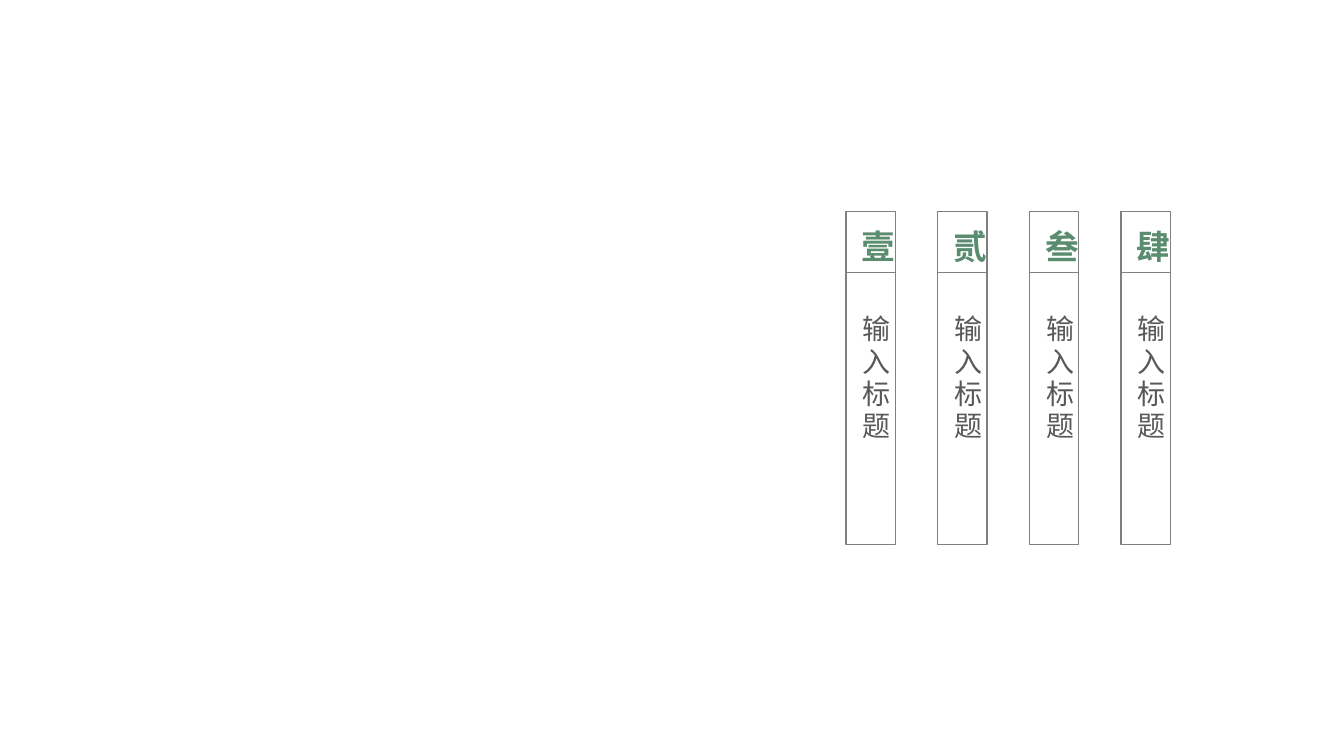
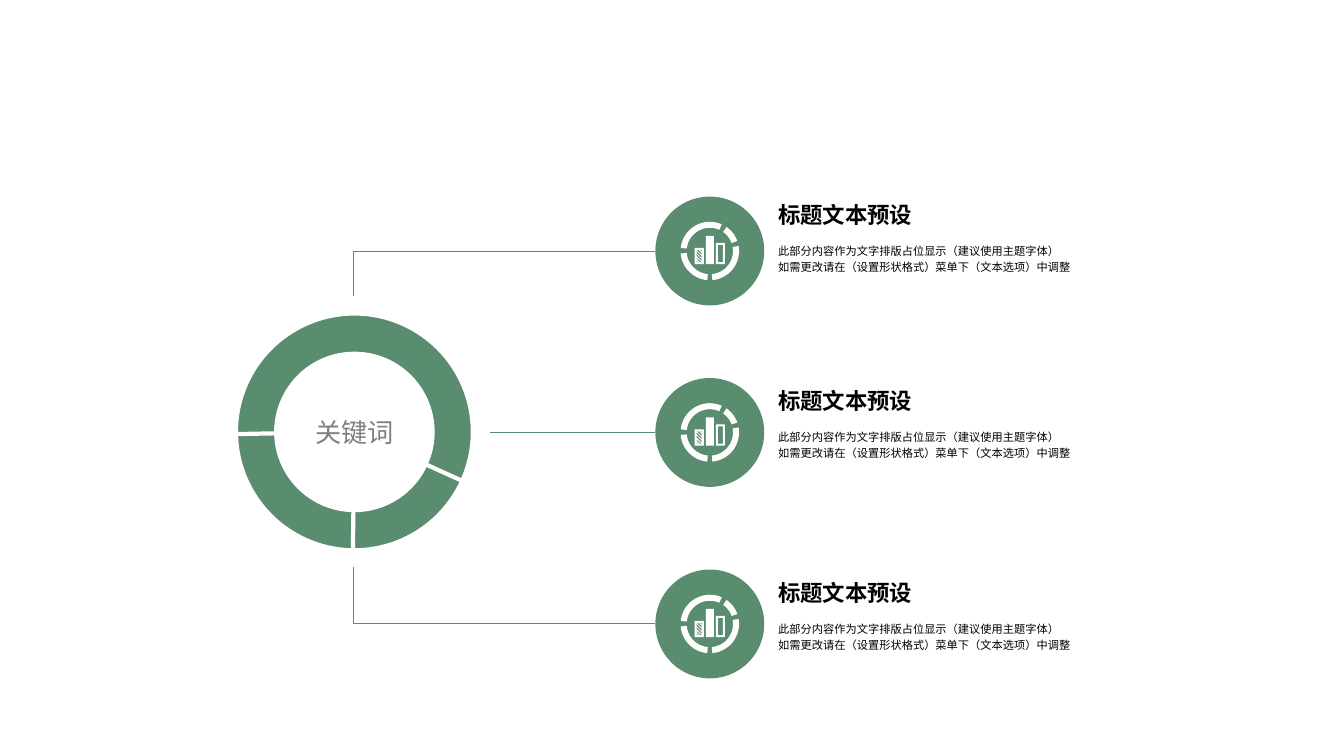
from math import cos, sin, radians
from lxml.etree import SubElement
from pptx import Presentation
from pptx.dml.color import RGBColor
from pptx.enum.shapes import MSO_CONNECTOR, MSO_SHAPE
from pptx.enum.text import MSO_ANCHOR, MSO_AUTO_SIZE, PP_ALIGN
from pptx.oxml.ns import qn
from pptx.util import Pt

SCALE = 9144
FONT = "Noto Sans CJK SC"
GREEN, GRAY, DARK = "5A8C6F", "808080", "595959"
WHITE, BLACK = "FFFFFF", "000000"


def px(num):
    return round(num * SCALE)


def tint(code):
    return RGBColor.from_string(code)


def box(left, top, right, low):
    return [(left, top), (right, top), (right, low), (left, low)]


def arc(start, end, outer=29, inner=23):
    turns = [radians(start + (end - start) * step / 16) for step in range(17)]
    rim = [(outer * cos(turn), outer * sin(turn)) for turn in turns]
    core = [(inner * cos(turn), inner * sin(turn)) for turn in reversed(turns)]
    return rim + core


BARS = [box(-15, -3, -6, 13), box(-4, -15, 4, 13), box(6, -8, 15, 13), box(8, -6, 13, 11)]
HATCH = [
    [(-13, 10), (-13, 11), (-11, 11)],
    [(-13, 7), (-13, 8), (-10, 11), (-8, 11)],
    [(-13, 3), (-13, 5), (-8, 10), (-8, 8)],
    [(-13, 0), (-13, 2), (-8, 7), (-8, 5)],
    [(-13, -1), (-8, 4), (-8, 2), (-11, -1)],
    [(-10, -1), (-8, 1), (-8, -1)],
]
ARCS = [arc(95, 175), arc(-10, 85), arc(-55, -20), arc(186, 294)]
ICON = BARS + HATCH + ARCS


class Deck:
    def __init__(self):
        self.file = Presentation()
        self.file.slide_width, self.file.slide_height = px(1333), px(750)
        self.slide = None

    def page(self):
        self.slide = self.file.slides.add_slide(self.file.slide_layouts[6])
        self.slide.background.fill.solid()
        self.slide.background.fill.fore_color.rgb = tint(WHITE)

    def paint(self, shape, fill=None, line=None, width=1):
        shape.shadow.inherit = False
        if fill:
            shape.fill.solid()
            shape.fill.fore_color.rgb = tint(fill)
        else:
            shape.fill.background()
        if line:
            shape.line.color.rgb = tint(line)
            shape.line.width = Pt(width)
        else:
            shape.line.fill.background()

    def shape(self, kind, x, y, w, h, fill=None, line=None, width=1, adj=()):
        item = self.slide.shapes.add_shape(kind, px(x), px(y), px(w), px(h))
        for spot, value in enumerate(adj):
            item.adjustments[spot] = value
        self.paint(item, fill, line, width)
        return item

    def words(self, frame, lines, size, color, bold=False, gap=0, align=None, lead=None):
        para = frame.paragraphs[0]
        if align is not None:
            para.alignment = align
        if lead:
            para.line_spacing = lead
        for spot, line in enumerate(lines):
            if spot:
                para.add_line_break()
            run = para.add_run()
            run.text = line
            font = run.font
            font.size, font.bold, font.name = Pt(size), bold, FONT
            font.color.rgb = tint(color)
            props = run._r.get_or_add_rPr()
            SubElement(props, qn("a:ea")).set("typeface", FONT)
            if gap:
                props.set("spc", str(gap * 100))

    def text(self, x, y, w, h, lines, size, color, wrap=True, tall=False, **style):
        frame = self.slide.shapes.add_textbox(px(x), px(y), px(w), px(h)).text_frame
        frame.word_wrap = wrap
        if tall:
            frame.auto_size = MSO_AUTO_SIZE.SHAPE_TO_FIT_TEXT
            frame._txBody.bodyPr.set("vert", "eaVert")
        self.words(frame, lines, size, color, **style)

    def line(self, x, y, end, low, color, bent=False):
        kind = MSO_CONNECTOR.ELBOW if bent else MSO_CONNECTOR.STRAIGHT
        item = self.slide.shapes.add_connector(kind, px(x), px(y), px(end), px(low))
        item.line.color.rgb = tint(color)
        item.line.width = Pt(0.5)
        props = item._element.spPr
        if bent:
            props.find(qn("a:prstGeom")).set("prst", "bentConnector2")
        SubElement(props, qn("a:effectLst"))

    def icon(self, x, y):
        rings = [[(a * 10, b * 10) for a, b in ring] for ring in ICON]
        pen = self.slide.shapes.build_freeform(*rings[0][0], scale=SCALE / 10)
        for spot, ring in enumerate(rings):
            if spot:
                pen.move_to(*ring[0])
            pen.add_line_segments(ring[1:], close=True)
        self.paint(pen.convert_to_shape(px(x), px(y)), WHITE)


def contents(deck):
    deck.page()
    for spot, num in enumerate("壹贰叁肆"):
        x = 839 + 91 * spot
        deck.shape(MSO_SHAPE.RECTANGLE, x, 210, 49, 330, line=GRAY)
        deck.text(x - 5, 218, 61, 52, [num], 24, GREEN, wrap=False, tall=True, bold=True, gap=6)
        deck.text(x - 3, 303, 54, 185, ["输入标题"], 20, DARK, tall=True, gap=3,
                  align=PP_ALIGN.JUSTIFY)
        deck.line(x, 270, x + 49, 270, GRAY)


def topics(deck):
    deck.page()
    body = ["此部分内容作为文字排版占位显示（建议使用主题字体）",
            "如需更改请在（设置形状格式）菜单下（文本选项）中调整"]
    for mid, top in ((249, 195), (429, 379), (619, 570)):
        deck.shape(MSO_SHAPE.OVAL, 650, mid - 54, 108, 108, GREEN)
        deck.icon(704, mid)
        deck.text(762, top, 440, 40, ["标题文本预设"], 16, BLACK, wrap=False, bold=True)
        deck.text(762, top + 40, 440, 50, body, 8, BLACK, lead=1.2)

    hub = deck.shape(MSO_SHAPE.OVAL, 217, 294, 269, 269, WHITE).text_frame
    hub.word_wrap = False
    hub.vertical_anchor = MSO_ANCHOR.MIDDLE
    deck.words(hub, ["关键词"], 18.7, GRAY, align=PP_ALIGN.CENTER)

    turn = 0.6
    for kind, adj in (
        (MSO_SHAPE.DONUT, [0.17]),
        (MSO_SHAPE.BLOCK_ARC, [211.17 * turn, 90.72 * turn, 0.17]),
        (MSO_SHAPE.BLOCK_ARC, [178.95 * turn, 24.43 * turn, 0.17]),
    ):
        deck.shape(kind, 234, 311, 235, 235, GREEN, WHITE, 3, adj)

    deck.line(650, 429, 486, 429, GREEN)
    deck.line(650, 249, 351, 294, GREEN, bent=True)
    deck.line(650, 619, 351, 563, GREEN, bent=True)


def main():
    deck = Deck()
    contents(deck)
    topics(deck)
    deck.file.save("out.pptx")


if __name__ == "__main__":
    main()
